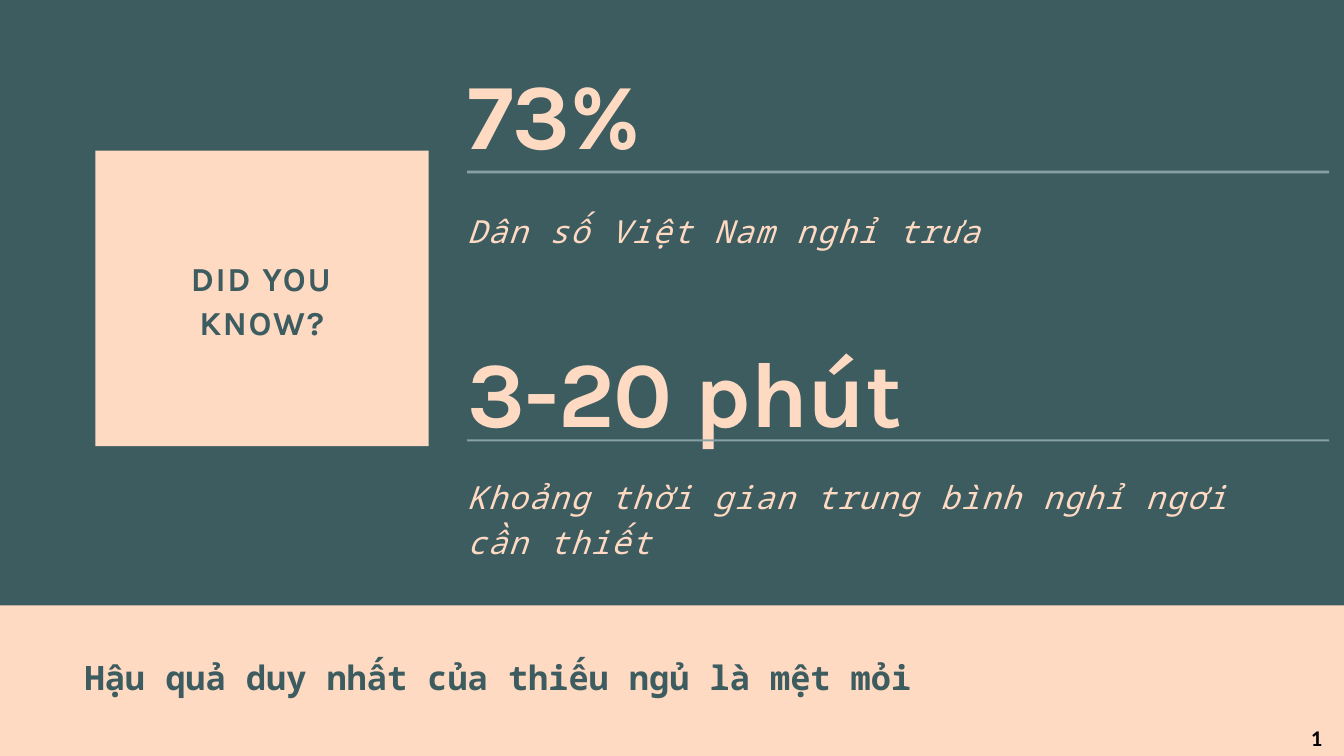
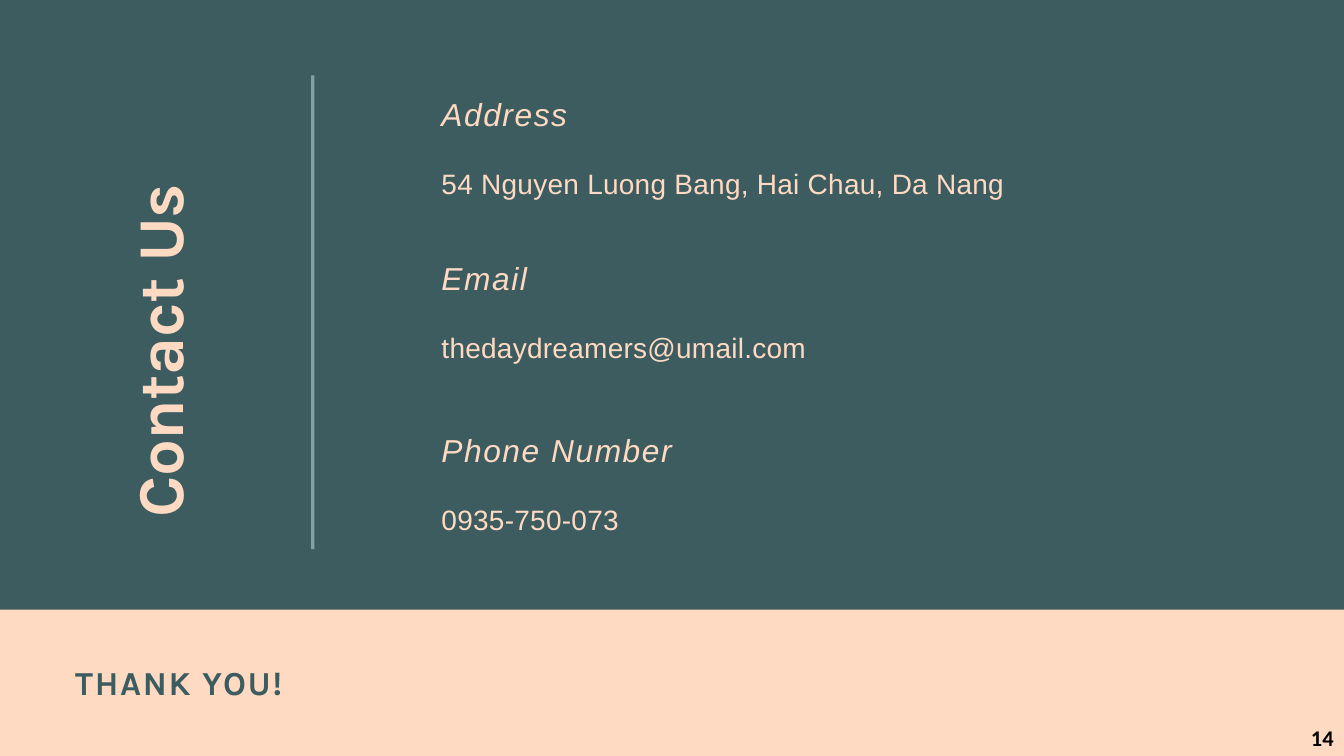
"""Build the nap facts slide and the contact slide."""
from collections import namedtuple

from pptx import Presentation
from pptx.dml.color import RGBColor
from pptx.enum.shapes import MSO_SHAPE as Shape
from pptx.enum.text import MSO_ANCHOR as Anchor
from pptx.enum.text import MSO_AUTO_SIZE as Fit
from pptx.enum.text import PP_ALIGN as Align
from pptx.util import Inches, Pt

TEAL = RGBColor(0x3D, 0x5C, 0x60)
PEACH = RGBColor(0xFF, 0xDA, 0xC3)
GREY = RGBColor(0x87, 0xA0, 0xA6)
BLACK = RGBColor(0, 0, 0)

Style = namedtuple("Style", "font size color bold italic gap line")
HEAD = Style("Karla", 36, TEAL, True, False, 1.8, 46.8)
NOTE = Style("Noto Sans Mono", 36, TEAL, True, False, 0, None)
STAT = Style("Karla", 100, PEACH, True, False, -1, 120)
FACT = Style("Noto Sans Mono", 34, PEACH, False, True, 1.7, 47.6)
SIDE = Style("Karla", 70, PEACH, True, False, -0.7, 91)
LABEL = FACT._replace(font="Arial")
VALUE = Style("Arial", 30, PEACH, False, False, 0.3, 45)
PAGE = Style("Calibri", 24, BLACK, True, False, 0, None)

CARD = (1.42, 2.24, 4.96, 4.4)
STAT_X, STAT_W = 6.95, 12.83
STATS = [
    {"stat": "73%", "top": 0.84, "tall": 1.43, "rule": 2.54, "thick": 0.04,
     "fact": ["Dân số Việt Nam nghỉ trưa"], "low": 3.06, "deep": 0.57},
    {"stat": "3-20 phút", "top": 4.98, "tall": 1.31, "rule": 6.54, "thick": 0.03,
     "fact": ["Khoảng thời gian trung bình nghỉ ngơi", "cần thiết"],
     "low": 7.02, "deep": 1.35},
]
LINK_X, LINK_W, LINK_STEP = 6.57, 11.44, 1.04
LINKS = [
    (1.31, "Address", "54 Nguyen Luong Bang, Hai Chau, Da Nang"),
    (3.76, "Email", "thedaydreamers@umail.com"),
    (6.32, "Phone Number", "0935-750-073"),
]


def place(shape, box):
    shape.left, shape.top, shape.width, shape.height = map(Inches, box)


def write(shape, lines, style, align=Align.LEFT, inset=True):
    frame = shape.text_frame
    frame.word_wrap = True
    frame.auto_size = Fit.SHAPE_TO_FIT_TEXT
    frame.vertical_anchor = Anchor.TOP
    if not inset:
        frame.margin_left = frame.margin_right = 0
        frame.margin_top = frame.margin_bottom = 0
    for i, line in enumerate(lines):
        para = frame.add_paragraph() if i else frame.paragraphs[0]
        para.alignment = align
        if style.line:
            para.line_spacing = Pt(style.line)
        run = para.add_run()
        run.text = line
        font = run.font
        font.name, font.size = style.font, Pt(style.size)
        font.bold, font.italic = style.bold, style.italic
        font.color.rgb = style.color
        if style.gap:
            run._r.get_or_add_rPr().set("spc", str(round(style.gap * 100)))


def add_text(shapes, box, lines, style, inset=False):
    text = shapes.add_textbox(*map(Inches, box))
    write(text, lines, style, inset=inset)


def add_block(shapes, box, color):
    block = shapes.add_shape(Shape.RECTANGLE, *map(Inches, box))
    block.shadow.inherit = False
    block.fill.solid()
    block.fill.fore_color.rgb = color
    block.line.fill.background()


def add_title(slide, box, text, style, align=Align.LEFT):
    title = slide.shapes.title
    title.element.getparent().append(title.element)
    place(title, box)
    write(title, [text], style, align, inset=False)
    return title


def add_slide(deck):
    slide = deck.slides.add_slide(deck.slide_layouts[5])
    slide.background.fill.solid()
    slide.background.fill.fore_color.rgb = TEAL
    return slide


def add_foot(slide, band, box, text, style):
    add_block(slide.shapes, band, PEACH)
    add_text(slide.shapes, box, [text], style)


def add_page(slide, number):
    add_text(slide.shapes, (19.41, 10.72, 0.67, 0.5), [number], PAGE, inset=True)


def add_stat(slide, row):
    shapes = slide.shapes.add_group_shape().shapes
    add_text(shapes, (STAT_X, row["top"], STAT_W, row["tall"]), [row["stat"]], STAT)
    add_text(shapes, (STAT_X, row["low"], STAT_W, row["deep"]), row["fact"], FACT)
    add_block(shapes, (STAT_X, row["rule"], STAT_W, row["thick"]), GREY)


def add_facts(deck):
    slide = add_slide(deck)
    add_foot(slide, (-0.29, 9.01, 20.54, 2.44), (1.26, 9.77, 17.62, 0.61),
             "Hậu quả duy nhất của thiếu ngủ là mệt mỏi", NOTE)
    add_stat(slide, STATS[0])
    add_block(slide.shapes, CARD, PEACH)
    add_title(slide, (1.99, 3.79, 3.81, 1.32), "DID YOU KNOW?", HEAD, Align.CENTER)
    add_stat(slide, STATS[1])
    add_page(slide, "1")


def add_contact(deck):
    slide = add_slide(deck)
    title = add_title(slide, (-0.77, 4.03, 6.1, 1.24), "Contact Us", SIDE)
    title.rotation = 270
    add_foot(slide, (-0.17, 9.07, 20.47, 2.45), (1.12, 9.8, 17.64, 0.66),
             "THANK YOU!", HEAD)
    add_block(slide.shapes, (4.63, 1.12, 0.05, 7.05), GREY)
    shapes = slide.shapes.add_group_shape().shapes
    for top, label, value in LINKS:
        add_text(shapes, (LINK_X, top, LINK_W, 0.67), [label], LABEL)
        add_text(shapes, (LINK_X, top + LINK_STEP, LINK_W, 0.63), [value], VALUE)
    add_page(slide, "14")


def main():
    deck = Presentation()
    deck.slide_width, deck.slide_height = Inches(20), Inches(11.25)
    add_facts(deck)
    add_contact(deck)
    deck.save("out.pptx")


if __name__ == "__main__":
    main()
